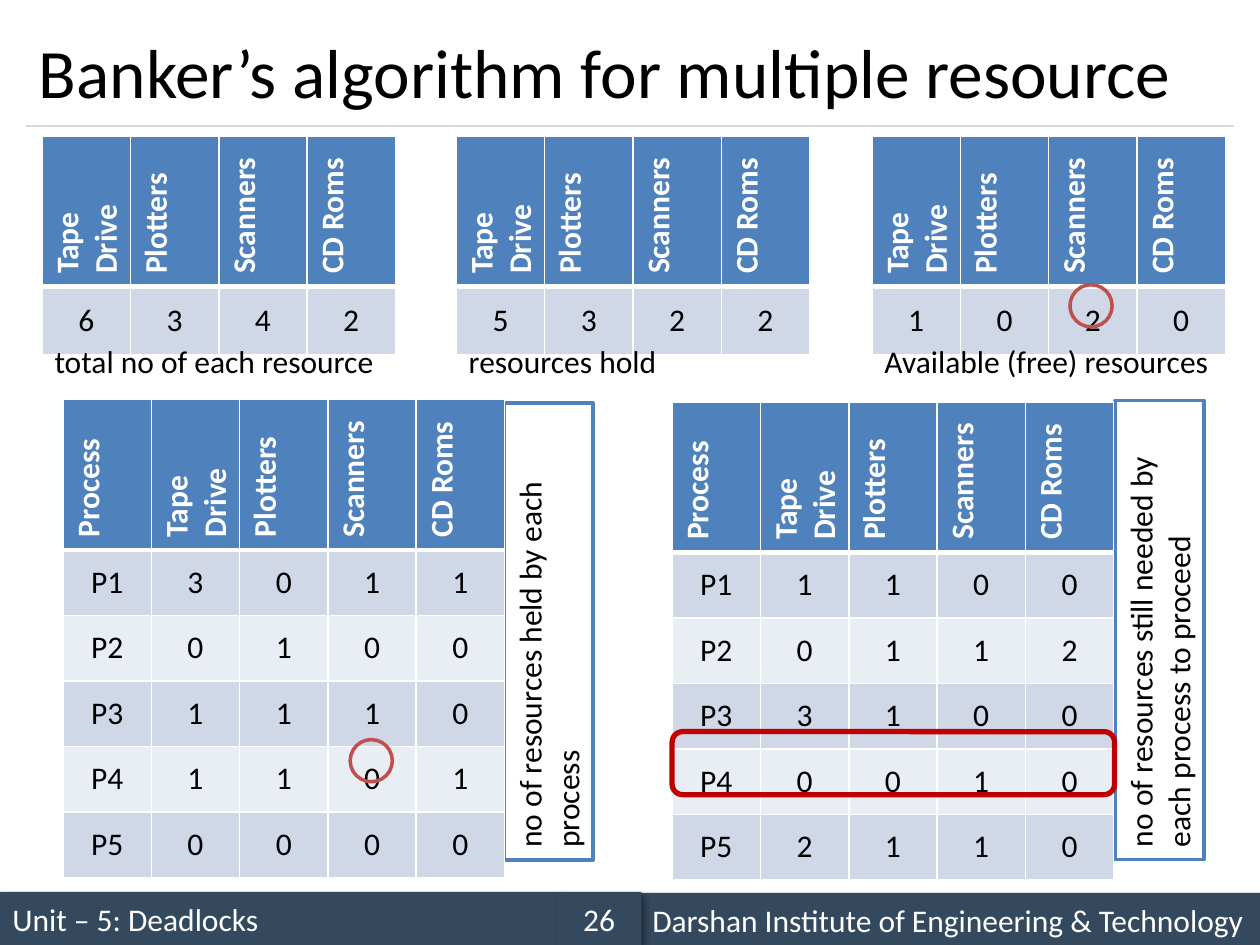
import dataclasses

import pptx
import pptx.dml.color
import pptx.enum.shapes
import pptx.enum.text
import pptx.oxml.ns
import pptx.util
from lxml import etree

Cm = pptx.util.Cm
Pt = pptx.util.Pt
qn = pptx.oxml.ns.qn
SHAPE = pptx.enum.shapes.MSO_SHAPE
ALIGN = pptx.enum.text.PP_ALIGN
ANCHOR = pptx.enum.text.MSO_ANCHOR
AUTO_SIZE = pptx.enum.text.MSO_AUTO_SIZE


@dataclasses.dataclass(frozen=True)
class Theme:
    font: str = "Calibri"
    title_size: float = 39.6
    text_size: float = 18
    black: str = "000000"
    white: str = "FFFFFF"
    footer: str = "34495E"
    rule: str = "D9D9D9"
    header: str = "4F81BD"
    bands: tuple = ("D0D8E8", "E9EDF4")
    ring: str = "C0504D"
    highlight: str = "C00000"


def rgb(value):
    return pptx.dml.color.RGBColor.from_string(value)


@dataclasses.dataclass
class Deck:
    theme: Theme
    s: object

    def set_text(self, tf, text, color, size=None, bold=False, align=ALIGN.LEFT):
        tf.text = text
        p = tf.paragraphs[0]
        p.alignment = align
        for r in p.runs:
            r.font.name = self.theme.font
            r.font.size = Pt(size or self.theme.text_size)
            r.font.bold = bold
            r.font.color.rgb = rgb(color)

    def title(self, text, left, top, width, height):
        sp = self.s.shapes.title
        sp.left, sp.top, sp.width, sp.height = Cm(left), Cm(top), Cm(width), Cm(height)
        sp.text_frame.vertical_anchor = ANCHOR.MIDDLE
        self.set_text(sp.text_frame, text, self.theme.black, self.theme.title_size)

    def rule(self, left, top, right):
        line = self.s.shapes.add_connector(
            pptx.enum.shapes.MSO_CONNECTOR.STRAIGHT, Cm(left), Cm(top), Cm(right), Cm(top))
        line.line.color.rgb = rgb(self.theme.rule)
        line.line.width = Pt(0.75)
        etree.SubElement(line._element.spPr, qn("a:effectLst"))

    def shape(self, kind, left, top, width, height, fill=None, line=None, weight=2):
        sp = self.s.shapes.add_shape(kind, Cm(left), Cm(top), Cm(width), Cm(height))
        if fill:
            sp.fill.solid()
            sp.fill.fore_color.rgb = rgb(fill)
        else:
            sp.fill.background()
        if line:
            sp.line.color.rgb = rgb(line)
            sp.line.width = Pt(weight)
        else:
            sp.line.fill.background()
        sp.shadow.inherit = False
        return sp

    def footer(self, text, left, top, width, align=ALIGN.LEFT):
        sp = self.shape(SHAPE.RECTANGLE, left, top, width, 1.07, self.theme.footer)
        effects = sp._element.spPr.find(qn("a:effectLst"))
        shadow = etree.SubElement(
            effects, qn("a:outerShdw"), blurRad=str(Pt(4)), dist=str(Pt(3)),
            dir="2700000", algn="tl", rotWithShape="0")
        color = etree.SubElement(shadow, qn("a:srgbClr"), val=self.theme.black)
        etree.SubElement(color, qn("a:alpha"), val="40000")
        tf = sp.text_frame
        tf.word_wrap = True
        tf.vertical_anchor = ANCHOR.MIDDLE
        self.set_text(tf, text, self.theme.white, align=align)

    def caption(self, text, left, top, width):
        tf = self.s.shapes.add_textbox(Cm(left), Cm(top), Cm(width), Cm(1.02)).text_frame
        tf.word_wrap = True
        tf.auto_size = AUTO_SIZE.SHAPE_TO_FIT_TEXT
        self.set_text(tf, text, self.theme.black)

    def side_note(self, text, left, top, length):
        sp = self.shape(SHAPE.RECTANGLE, left, top, length, 1.8,
                        self.theme.white, self.theme.header)
        sp.rotation = 270
        tf = sp.text_frame
        tf.word_wrap = True
        tf.auto_size = AUTO_SIZE.SHAPE_TO_FIT_TEXT
        tf.vertical_anchor = ANCHOR.TOP
        self.set_text(tf, text, self.theme.black)

    def ring(self, left, top):
        self.shape(SHAPE.OVAL, left, top, 0.85, 0.85, line=self.theme.ring)

    def borders(self, cell, bottom):
        tcPr = cell._tc.get_or_add_tcPr()
        for side, weight in zip("LRTB", (1, 1, 1, bottom)):
            ln = etree.SubElement(tcPr, qn(f"a:ln{side}"), w=str(Pt(weight)))
            fill = etree.SubElement(ln, qn("a:solidFill"))
            etree.SubElement(fill, qn("a:srgbClr"), val=self.theme.white)

    def table(self, rows, left, top, header_height, row_height):
        column_width = 1.78
        columns = len(rows[0])
        height = header_height + row_height * (len(rows) - 1)
        table = self.s.shapes.add_table(
            len(rows), columns, Cm(left), Cm(top),
            Cm(column_width * columns), Cm(height)).table
        for column in table.columns:
            column.width = Cm(column_width)
        for i, values in enumerate(rows):
            is_header = i == 0
            table.rows[i].height = Cm(header_height if is_header else row_height)
            for j, value in enumerate(values):
                cell = table.cell(i, j)
                self.borders(cell, 3 if is_header else 1)
                cell.fill.solid()
                cell.vertical_anchor = ANCHOR.MIDDLE
                if is_header:
                    cell.fill.fore_color.rgb = rgb(self.theme.header)
                    cell._tc.get_or_add_tcPr().set("vert", "vert270")
                    self.set_text(cell.text_frame, value, self.theme.white, bold=True)
                else:
                    cell.fill.fore_color.rgb = rgb(self.theme.bands[(i - 1) % 2])
                    cell.margin_top = cell.margin_bottom = 0
                    self.set_text(cell.text_frame, value, self.theme.black, align=ALIGN.CENTER)


RESOURCES = ["Tape Drive", "Plotters", "Scanners", "CD Roms"]
TOTALS = [
    ("total no of each resource", "6342", 0.85, 6.99),
    ("resources hold", "5322", 9.2, 6.99),
    ("Available (free) resources", "1020", 17.58, 7.32),
]
PROCESS_TABLES = [
    (["3011", "0100", "1110", "1101", "0000"], 1.27, 8.05),
    (["1100", "0112", "3100", "0010", "2110"], 13.55, 8.1),
]


def main():
    prs = pptx.Presentation()
    prs.slide_width, prs.slide_height = Cm(25.4), Cm(19.05)
    theme = Theme()
    deck = Deck(theme, prs.slides.add_slide(prs.slide_layouts[5]))

    deck.footer("Unit – 5: Deadlocks", 0, 17.98, 11.23)
    deck.rule(0.53, 2.54, 24.87)
    deck.footer("Darshan Institute of Engineering & Technology", 12.9, 18, 12.5)
    deck.footer("26", 11.23, 17.98, 1.7, ALIGN.CENTER)
    deck.title("Banker’s algorithm for multiple resource", 0.53, 0.3, 24.34, 2.24)

    for text, counts, left, width in TOTALS:
        deck.table([RESOURCES, list(counts)], left, 2.74, 2.69, 1.37)
        deck.caption(text, left, 6.78, width)

    deck.side_note("no of resources held by each process", 6.45, 11.83, 9.22)
    deck.side_note("no of resources still needed by each process to proceed", 18.75, 11.8, 9.25)

    for counts, left, top in PROCESS_TABLES:
        rows = [[f"P{n}", *row] for n, row in enumerate(counts, 1)]
        deck.table([["Process", *RESOURCES], *rows], left, top, 2.64, 1.32)

    deck.shape(SHAPE.ROUNDED_RECTANGLE, 13.55, 14.75, 8.92, 1.27,
               line=theme.highlight, weight=3)
    deck.ring(21.57, 5.74)
    deck.ring(7.06, 14.91)

    prs.save("out.pptx")


if __name__ == "__main__":
    main()
